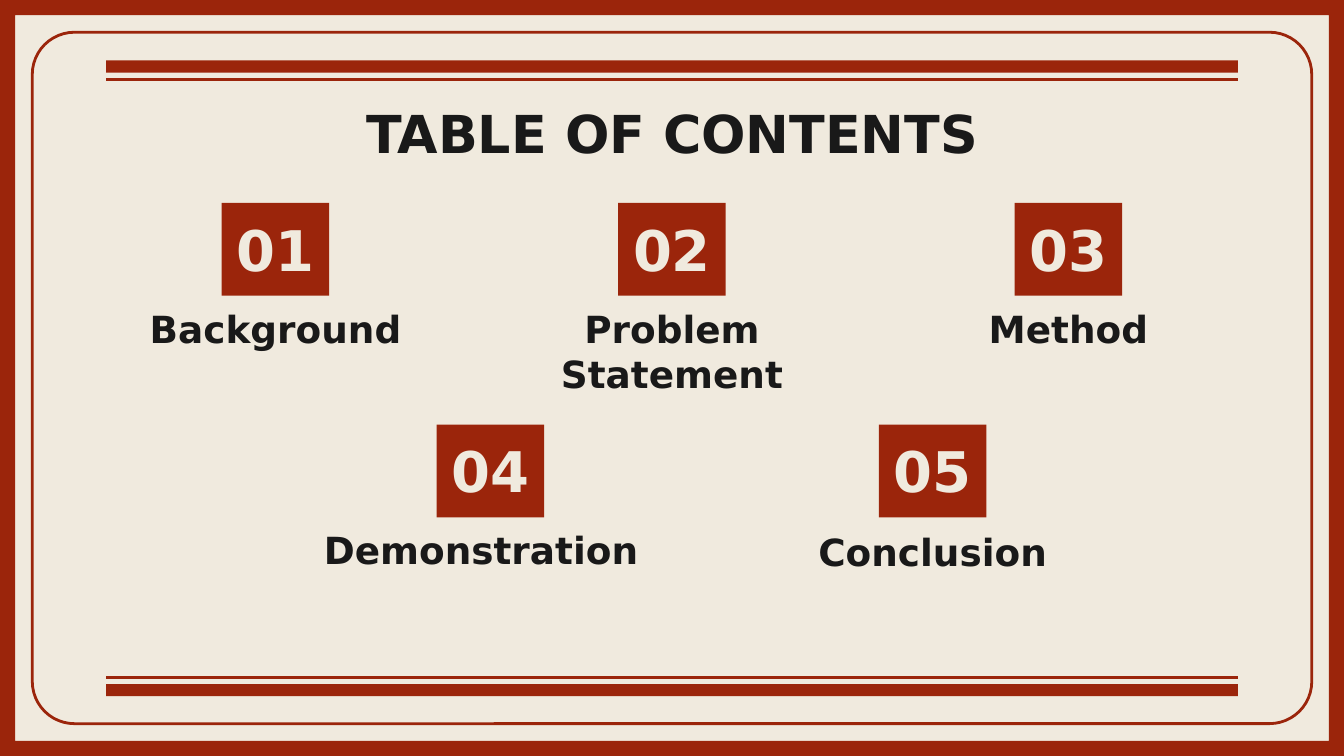
"""Build a table-of-contents slide with a framed border and numbered sections."""
from dataclasses import dataclass

from lxml import etree
from pptx import Presentation
from pptx.dml.color import RGBColor
from pptx.enum import shapes, text
from pptx.oxml import ns
from pptx.util import Inches, Pt


@dataclass(frozen=True)
class Theme:
    """Colours, font and type sizes of the deck."""
    paper: RGBColor = RGBColor.from_string("F0EADE")
    accent: RGBColor = RGBColor.from_string("9B250B")
    ink: RGBColor = RGBColor.from_string("191919")
    font: str = "DejaVu Sans"
    heading: int = 28
    number: int = 30
    label: int = 20
    rule: float = 1.5


@dataclass(frozen=True)
class Section:
    """A contents entry: badge centre and top, with any label adjustment."""
    name: str
    centre: float
    top: float
    label_shift: float = 0
    label_gap: float = 0.67
    label_width: float = 2.52


THEME = Theme()
WIDTH = 10
HEIGHT = WIDTH * 9 / 16
MARGIN = 0.79
BADGE_WIDTH, BADGE_HEIGHT = 0.8, 0.69
LABEL_HEIGHT = 0.73
FIRST_ROW, SECOND_ROW = 1.51, 3.16
SECTIONS = [
    Section("Background", 2.05, FIRST_ROW),
    Section("Problem Statement", 5, FIRST_ROW),
    Section("Method", 7.95, FIRST_ROW),
    Section("Demonstration", 3.65, SECOND_ROW, -0.07, 0.66, 2.66),
    Section("Conclusion", 6.94, SECOND_ROW, 0, 0.68),
]


def inches(*lengths):
    """Convert several lengths to inches."""
    return [Inches(length) for length in lengths]


def write(holder, words, size, colour, anchor=text.MSO_ANCHOR.TOP):
    """Set centred bold text with even insets."""
    frame = holder.text_frame
    frame.text = words
    frame.word_wrap = True
    frame.auto_size = text.MSO_AUTO_SIZE.NONE
    frame.vertical_anchor = anchor
    frame.margin_left = frame.margin_right = Inches(0.1)
    frame.margin_top = frame.margin_bottom = Inches(0.1)
    paragraph = frame.paragraphs[0]
    paragraph.alignment = text.PP_ALIGN.CENTER
    font = paragraph.runs[0].font
    font.name, font.size, font.bold = THEME.font, Pt(size), True
    font.color.rgb = colour


def add_block(slide, preset, box):
    """Add a solid accent shape without an outline."""
    block = slide.shapes.add_shape(preset, *inches(*box))
    block.shadow.inherit = False
    block.fill.solid()
    block.fill.fore_color.rgb = THEME.accent
    block.line.fill.background()
    return block


def outline(stroke):
    """Apply the accent rule to a line format."""
    stroke.color.rgb = THEME.accent
    stroke.width = Pt(THEME.rule)


def add_border(slide, box):
    """Draw the solid frame and the rounded outline inside it."""
    left, top, width, height = box
    inset = 0.24
    rounded = slide.shapes.add_shape(
        shapes.MSO_SHAPE.ROUNDED_RECTANGLE,
        *inches(left + inset, top + inset, width - 2 * inset, height - 2 * inset))
    rounded.adjustments[0] = 0.061
    rounded.shadow.inherit = False
    rounded.fill.background()
    outline(rounded.line)
    frame = add_block(slide, shapes.MSO_SHAPE.FRAME, box)
    frame.adjustments[0] = 0.02


def add_double_rule(slide, box, line_offset):
    """Draw a thick bar with a thin line offset from its top."""
    left, top, width, _ = box
    add_block(slide, shapes.MSO_SHAPE.RECTANGLE, box)
    level = top + line_offset
    thin = slide.shapes.add_connector(
        shapes.MSO_CONNECTOR.STRAIGHT, *inches(left, level, left + width, level))
    outline(thin.line)
    etree.SubElement(thin._element.spPr, ns.qn("a:effectLst"))


def add_heading(slide, box, words):
    """Place the slide title in its placeholder."""
    heading = slide.shapes.title
    heading.left, heading.top, heading.width, heading.height = inches(*box)
    write(heading, words, THEME.heading, THEME.ink)


def add_section(slide, number, section):
    """Place a numbered badge with its label below."""
    badge = add_block(slide, shapes.MSO_SHAPE.RECTANGLE,
                      (section.centre - BADGE_WIDTH / 2, section.top,
                       BADGE_WIDTH, BADGE_HEIGHT))
    write(badge, f"{number:02d}", THEME.number, THEME.paper,
          text.MSO_ANCHOR.BOTTOM)
    left = section.centre + section.label_shift - section.label_width / 2
    label = slide.shapes.add_textbox(
        *inches(left, section.top + section.label_gap,
                section.label_width, LABEL_HEIGHT))
    write(label, section.name, THEME.label, THEME.ink)


def main():
    """Assemble and save the slide."""
    deck = Presentation()
    deck.slide_width, deck.slide_height = inches(WIDTH, HEIGHT)
    slide = deck.slides.add_slide(deck.slide_layouts.get_by_name("Title Only"))
    slide.background.fill.solid()
    slide.background.fill.fore_color.rgb = THEME.paper
    content_width = WIDTH - 2 * MARGIN
    add_border(slide, (0, 0, WIDTH, HEIGHT))
    add_double_rule(slide, (MARGIN, 0.45, content_width, 0.09), 0.14)
    add_double_rule(slide, (MARGIN, 5.09, content_width, 0.09), -0.05)
    add_heading(slide, (MARGIN, 0.65, content_width, 0.63), "TABLE OF CONTENTS")
    for number, section in enumerate(SECTIONS, start=1):
        add_section(slide, number, section)
    deck.save("out.pptx")


if __name__ == "__main__":
    main()
